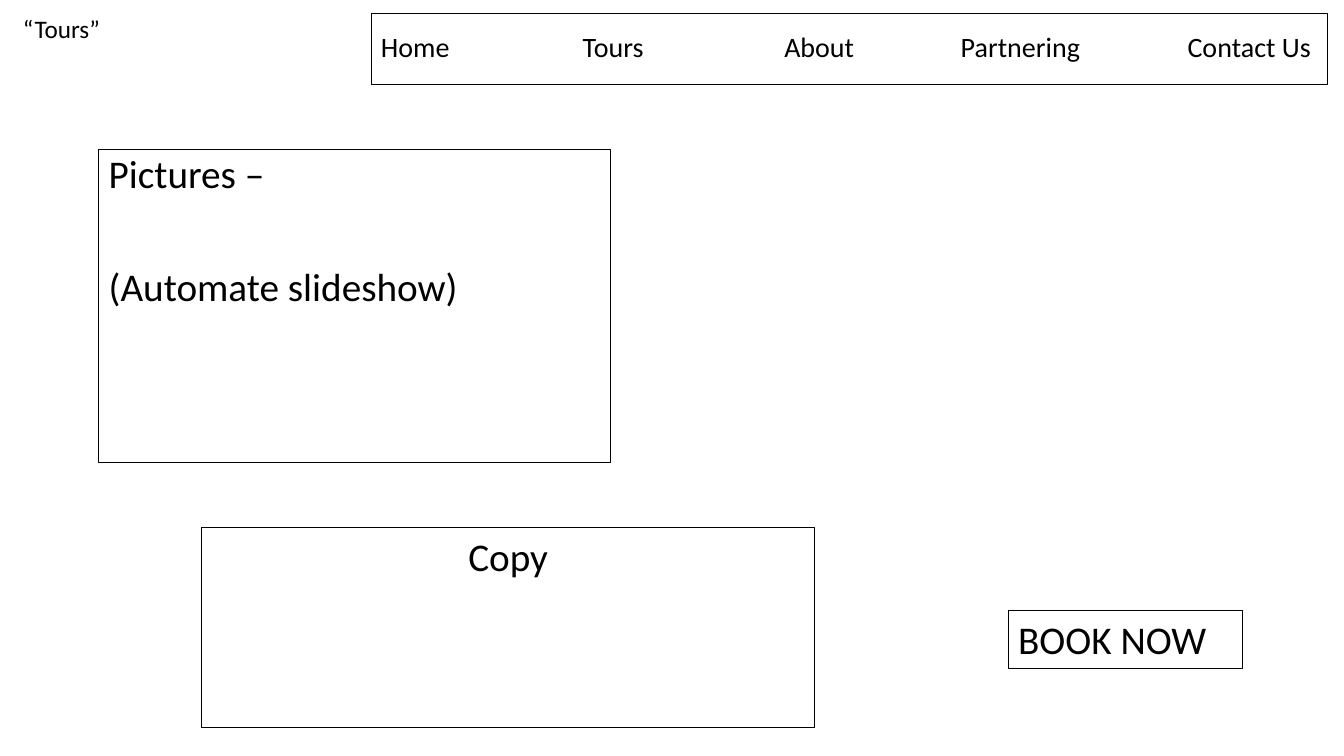
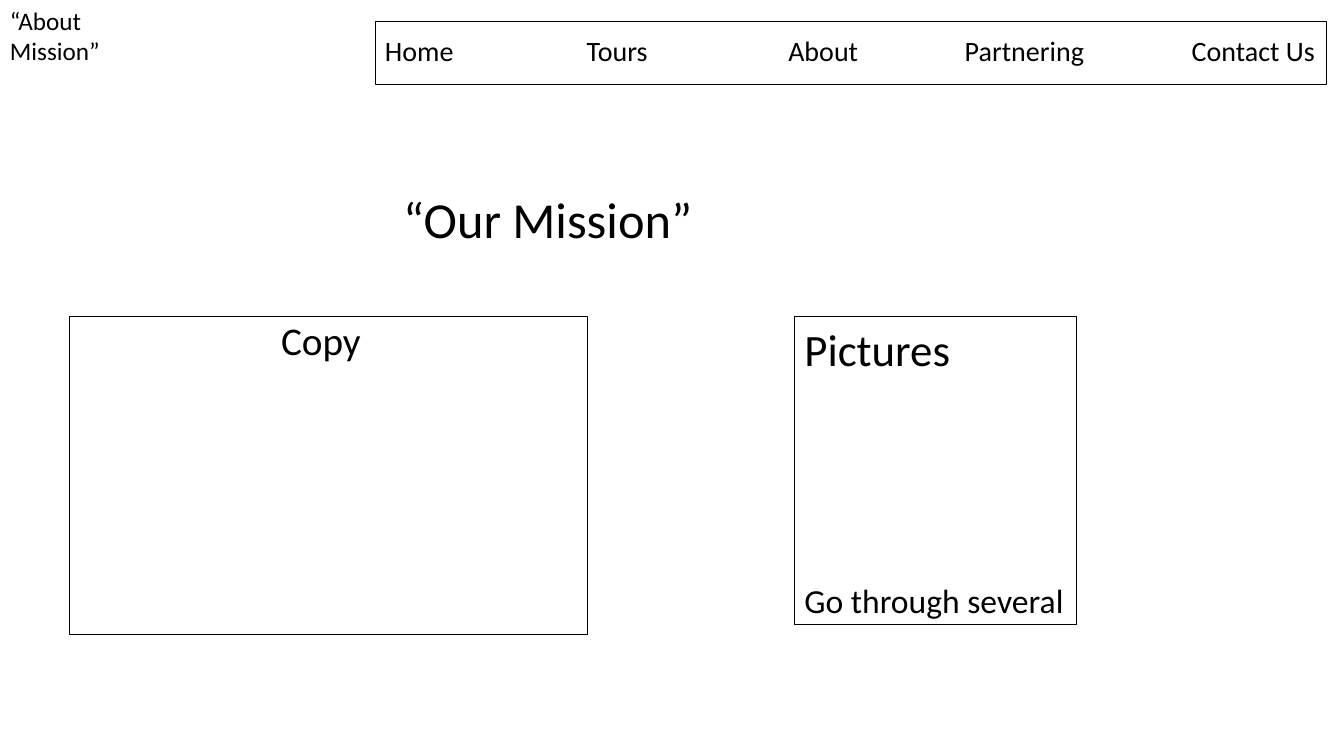
from lxml import etree
from pptx import Presentation, util as u
from pptx.dml.color import RGBColor
from pptx.enum import shapes, text
from pptx.oxml.ns import qn


def rgb(value):
    return RGBColor.from_string(value)


class Wireframe:
    """Holds the wireframe style and the current slide."""

    FONT = "Calibri"
    INK = "000000"
    MENU = ("Home", "Tours", "About", "Partnering", "Contact Us")
    MENU_TABS = (2, 4, 5.75, 8)

    def __init__(self):
        self.prs = Presentation()
        self.prs.slide_width = u.Inches(13.33)
        self.prs.slide_height = u.Inches(7.5)

    def new_slide(self):
        self.s = self.prs.slides.add_slide(self.prs.slide_layouts[6])

    def fill_text(self, sp, lines, wrap=True, anchor=text.MSO_ANCHOR.TOP, tabs=(), **common):
        tf = sp.text_frame
        frame = {"word_wrap": wrap, "vertical_anchor": anchor,
                 "auto_size": text.MSO_AUTO_SIZE.NONE}
        for name, value in frame.items():
            setattr(tf, name, value)
        for i, (words, size, fmt) in enumerate(lines):
            p = tf.add_paragraph() if i else tf.paragraphs[0]
            for name, value in {"alignment": text.PP_ALIGN.LEFT, **common, **fmt}.items():
                setattr(p, name, value)
            if tabs:
                self.set_tabs(p, tabs)
            r = p.add_run()
            r.text = words
            for name, value in {"name": self.FONT, "size": u.Pt(size)}.items():
                setattr(r.font, name, value)
            r.font.color.rgb = rgb(self.INK)

    def set_tabs(self, p, tabs):
        tab_list = etree.SubElement(p._p.get_or_add_pPr(), qn("a:tabLst"))
        for tab in tabs:
            etree.SubElement(tab_list, qn("a:tab"), pos=str(u.Inches(tab)), algn="l")

    def box(self, at, lines, **style):
        sp = self.s.shapes.add_shape(shapes.MSO_SHAPE.RECTANGLE, *map(u.Inches, at))
        sp.shadow.inherit = False
        sp.fill.background()
        sp.line.color.rgb = rgb(self.INK)
        sp.line.width = u.Pt(0.75)
        self.fill_text(sp, lines, **style)

    def label(self, at, lines):
        sp = self.s.shapes.add_textbox(*map(u.Inches, at))
        self.fill_text(sp, lines, wrap=False)

    def menu(self, at):
        self.box(at, [("\t".join(self.MENU), 20, {})], anchor=text.MSO_ANCHOR.MIDDLE,
                 tabs=self.MENU_TABS, line_spacing=0.9)


def tours(w):
    w.new_slide()
    w.box((0.98, 1.48, 5.08, 3.11),
          [("Pictures –", 28, {}),
           ("(Automate slideshow)", 28, {"space_before": u.Pt(50.7)})],
          line_spacing=0.9)
    w.menu((3.68, 0.13, 9.49, 0.71))
    w.label((0.13, 0.08, 0.97, 0.4), [("“Tours”", 18, {})])
    w.box((2, 5.23, 6.08, 1.99), [("Copy", 28, {"alignment": text.PP_ALIGN.CENTER})])
    w.box((10, 6.06, 2.32, 0.57), [("BOOK NOW", 28, {})])


def mission(w):
    w.new_slide()
    w.box((0.69, 3.14, 5.14, 3.16), [("\tCopy", 28, {})], tabs=(2,), line_spacing=0.9)
    w.menu((3.72, 0.21, 9.44, 0.63))
    w.label((0, 0, 1.1, 0.71), [("“About", 18, {}), ("Mission”", 18, {})])
    w.label((3.9, 1.82, 3.09, 0.71), [("“Our Mission”", 36, {})])
    w.box((7.88, 3.14, 2.8, 3.06),
          [("Pictures", 32, {}),
           ("Go through several", 24, {"space_before": u.Pt(146.5)})],
          wrap=False)


def main():
    w = Wireframe()
    tours(w)
    mission(w)
    w.prs.save("out.pptx")


if __name__ == "__main__":
    main()
